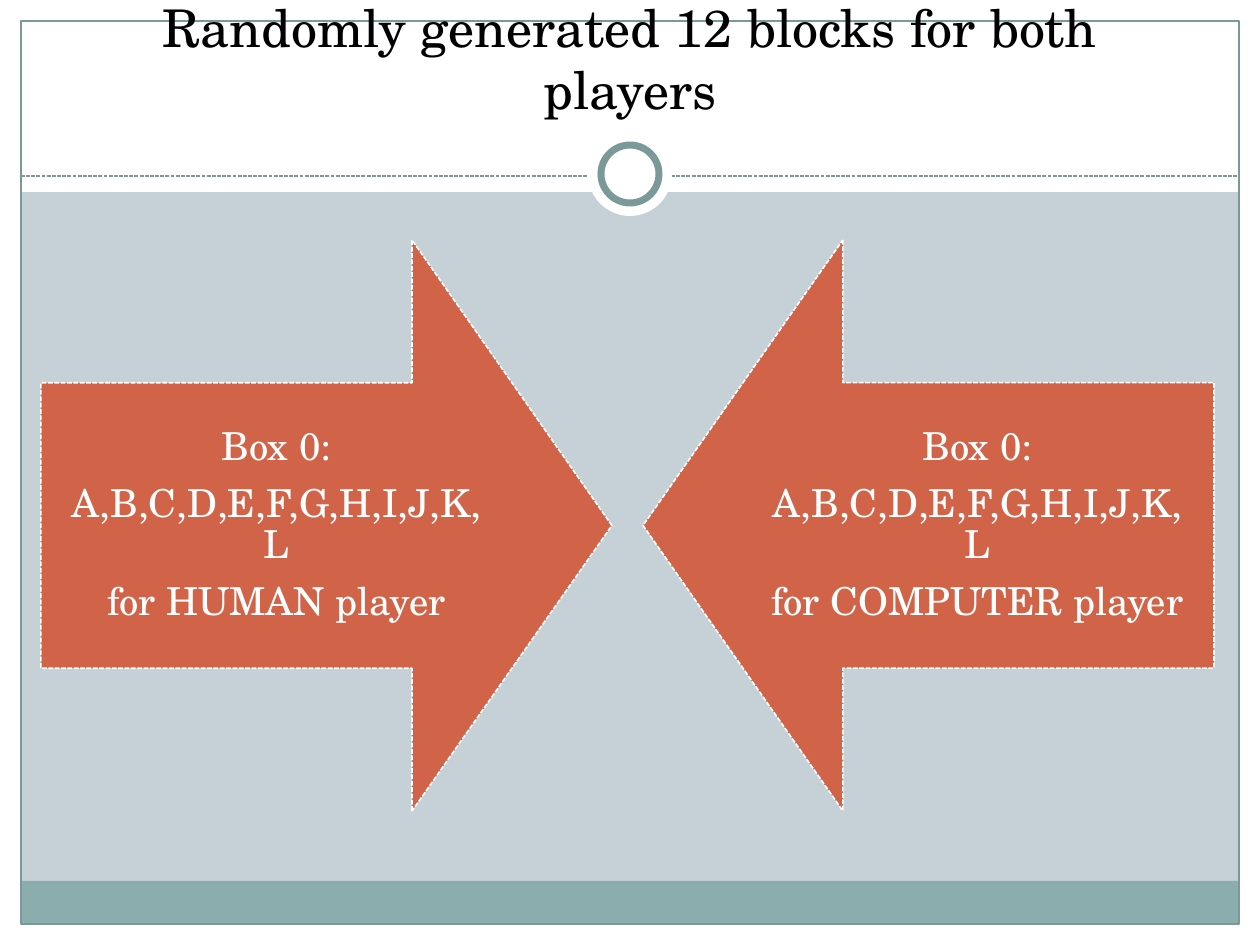
from lxml.etree import SubElement
from pptx import Presentation
from pptx.dml.color import RGBColor
from pptx.enum.dml import MSO_LINE
from pptx.enum.shapes import MSO_CONNECTOR, MSO_SHAPE
from pptx.enum.text import MSO_ANCHOR, PP_ALIGN
from pptx.oxml.ns import qn
from pptx.util import Emu, Pt

PIXEL = 914400 // 126
WIDTH, HEIGHT = 1260, 945
FONT = "TeX Gyre Schola"
WHITE, BLACK = "FFFFFF", "000000"
BACKGROUND, BAND, FRAME, ARROW = "C5D1D7", "8CADAE", "7C999A", "D16349"


def color(value):
    return RGBColor.from_string(value)


def lengths(*pixels):
    return [Emu(pixel * PIXEL) for pixel in pixels]


def write(text_box, paragraphs, size, text_color, anchor, inset,
          line_spacing=1.0, space_after=0):
    frame = text_box.text_frame
    frame.word_wrap = True
    frame.vertical_anchor = anchor
    frame.margin_left, frame.margin_top, frame.margin_right, frame.margin_bottom = lengths(*inset)
    for index, text in enumerate(paragraphs):
        paragraph = frame.add_paragraph() if index else frame.paragraphs[0]
        paragraph.alignment = PP_ALIGN.CENTER
        paragraph.line_spacing = line_spacing
        paragraph.space_after = Pt(space_after)
        run = paragraph.add_run()
        run.text = text
        run.font.name = FONT
        run.font.size = Pt(size)
        run.font.color.rgb = color(text_color)


class Board:
    def __init__(self, slide):
        self.slide = slide
        slide.background.fill.solid()
        slide.background.fill.fore_color.rgb = color(BACKGROUND)

    def outline(self, line, line_color, width, dash=None):
        line.color.rgb = color(line_color)
        line.width = Pt(width)
        if dash:
            line.dash_style = dash

    def shape(self, kind, box, fill=None, line=None, rotation=0):
        shape = self.slide.shapes.add_shape(kind, *lengths(*box))
        shape.shadow.inherit = False
        shape.rotation = rotation
        if fill:
            shape.fill.solid()
            shape.fill.fore_color.rgb = color(fill)
        else:
            shape.fill.background()
        if line:
            self.outline(shape.line, *line)
        else:
            shape.line.fill.background()
        return shape

    def line(self, start, end, *style):
        connector = self.slide.shapes.add_connector(
            MSO_CONNECTOR.STRAIGHT, *lengths(*start, *end))
        self.outline(connector.line, *style)
        SubElement(connector._element.spPr, qn("a:effectLst"))

    def text(self, box, paragraphs, **style):
        write(self.slide.shapes.add_textbox(*lengths(*box)), paragraphs, **style)


presentation = Presentation()
presentation.slide_width, presentation.slide_height = lengths(WIDTH, HEIGHT)
board = Board(presentation.slides.add_slide(presentation.slide_layouts[6]))

# White margins and header, with the band at the foot
margin = 21
inner_width = WIDTH - 2 * margin
for box in [(0, HEIGHT - margin, WIDTH, margin), (0, 0, WIDTH, 192),
            (0, 0, margin, HEIGHT), (WIDTH - margin, 0, margin, HEIGHT)]:
    board.shape(MSO_SHAPE.RECTANGLE, box, fill=WHITE)
board.shape(MSO_SHAPE.RECTANGLE, (margin, 881, inner_width, 43), fill=BAND)
board.shape(MSO_SHAPE.RECTANGLE, (margin, margin, inner_width, HEIGHT - 2 * margin),
            line=(FRAME, 0.75))

# Dashed divider with the ring
board.line((margin, 176), (WIDTH - margin, 176), FRAME, 0.75, MSO_LINE.SQUARE_DOT)
for diameter, ring_line in [(84, None), (58, (FRAME, 4))]:
    board.shape(MSO_SHAPE.OVAL,
                ((WIDTH - diameter) // 2, 174 - diameter // 2, diameter, diameter),
                fill=WHITE, line=ring_line)

# Title
board.text((63, 38, 1134, 88), ["Randomly generated 12 blocks for both players"],
           size=29.7, text_color=BLACK, anchor=MSO_ANCHOR.BOTTOM, inset=(13, 6, 13, 6))

# Facing arrows, one for each player
arrow_size = 571
for player, arrow_left, text_left, rotation in [("HUMAN", 41, 41, 270),
                                                ("COMPUTER", 643, 742, 90)]:
    arrow = board.shape(MSO_SHAPE.DOWN_ARROW, (arrow_left, 240, arrow_size, arrow_size),
                        fill=ARROW, line=(WHITE, 0.9, MSO_LINE.SQUARE_DOT),
                        rotation=rotation)
    arrow.adjustments[0], arrow.adjustments[1] = 0.5, 0.35
    board.text((text_left, 383, 471, 285),
               ["Box 0:", "A,B,C,D,E,F,G,H,I,J,K,L", f"for {player} player"],
               size=22, text_color=WHITE, anchor=MSO_ANCHOR.MIDDLE,
               inset=(21, 21, 21, 21), line_spacing=0.9, space_after=8.5)

presentation.save("out.pptx")
